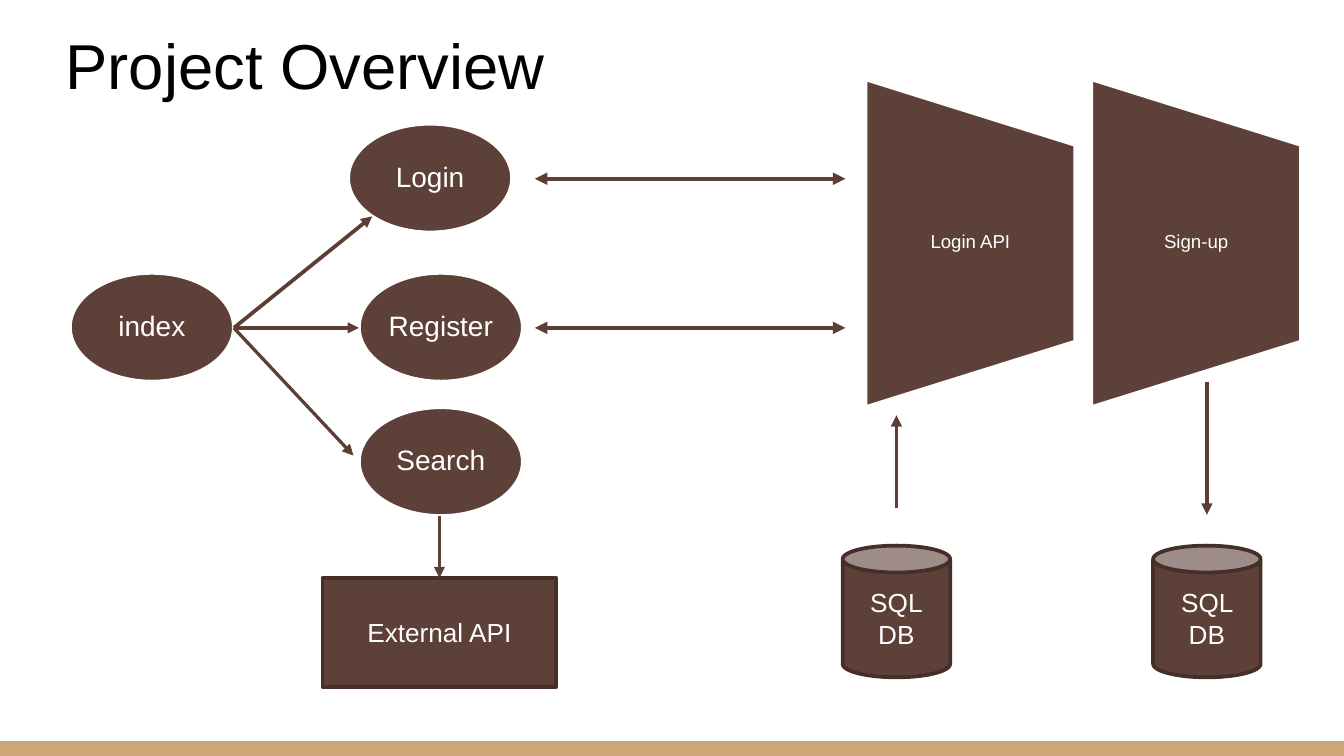
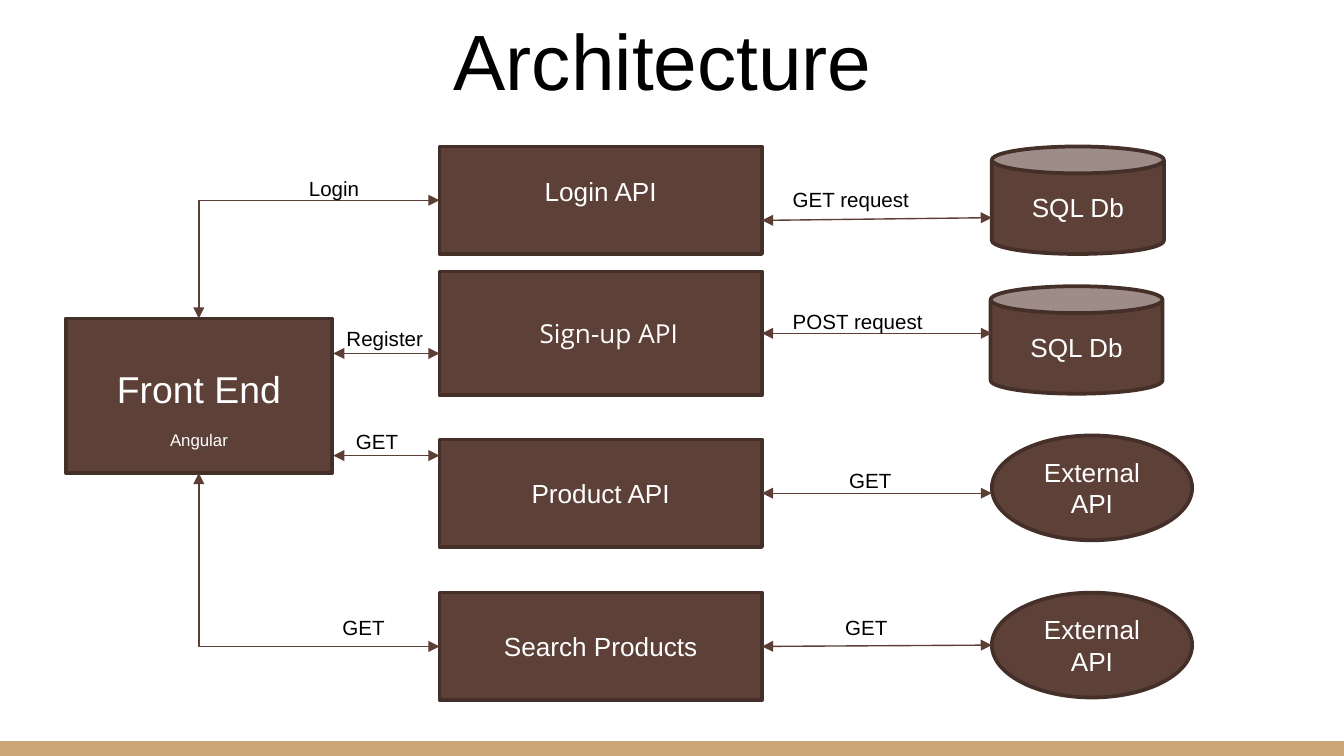
import pptx
import pptx.dml.color
import pptx.enum.shapes
import pptx.enum.text
import pptx.oxml.ns
import pptx.util
from lxml import etree

Inches = pptx.util.Inches
Pt = pptx.util.Pt
qn = pptx.oxml.ns.qn
SHAPE = pptx.enum.shapes.MSO_SHAPE
CONNECTOR = pptx.enum.shapes.MSO_CONNECTOR
ANCHOR = pptx.enum.text.MSO_ANCHOR
ALIGN = pptx.enum.text.PP_ALIGN

BROWN, EDGE, ARROW = "5D4037", "452F29", "5C3E35"
TAN, WHITE, BLACK = "CCA677", "FFFFFF", "000000"
PADDING = (0.1, 0.05, 0.1, 0.05)
WIDTH = 10
HEIGHT = WIDTH * 9 / 16
BAND = 0.11


def colour(value):
    return pptx.dml.color.RGBColor.from_string(value)


def write(frame, text, size, ink, font="Arial", align=ALIGN.CENTER,
          anchor=ANCHOR.MIDDLE, padding=PADDING, wrap=True, spacing=None):
    frame.text = text
    frame.word_wrap = wrap
    frame.vertical_anchor = anchor
    frame.margin_left, frame.margin_top, frame.margin_right, frame.margin_bottom = map(Inches, padding)
    for para in frame.paragraphs:
        para.alignment = align
        para.line_spacing = spacing
        for span in para.runs:
            span.font.size = Pt(size)
            span.font.name = font
            span.font.color.rgb = colour(ink)


def add_block(page, kind, box, text="", size=14, edge=EDGE, fill=BROWN, **style):
    shape = page.shapes.add_shape(kind, *map(Inches, box))
    shape.shadow.inherit = False
    shape.fill.solid()
    shape.fill.fore_color.rgb = colour(fill)
    if edge:
        shape.line.color.rgb = colour(edge)
        shape.line.width = Pt(2)
    else:
        shape.line.fill.background()
    if text:
        write(shape.text_frame, text, size, WHITE, **style)
    return shape


def add_text(page, box, text, size, ink=BLACK, **style):
    shape = page.shapes.add_textbox(*map(Inches, box))
    write(shape.text_frame, text, size, ink, **style)


def add_label(page, left, top, text):
    add_text(page, (left, top, 1.2, 0.29), text, 11, align=ALIGN.LEFT,
             anchor=ANCHOR.TOP, wrap=False)


def style_arrow(connector, width, both, ink=ARROW):
    connector.line.color.rgb = colour(ink)
    connector.line.width = Pt(width)
    outline = connector.line._get_or_add_ln()
    for end in ("a:headEnd", "a:tailEnd") if both else ("a:tailEnd",):
        etree.SubElement(outline, qn(end)).set("type", "triangle")
    etree.SubElement(connector._element.spPr, qn("a:effectLst"))


def add_arrow(page, start, finish, width=0.75, both=False, ink=ARROW):
    connector = page.shapes.add_connector(CONNECTOR.STRAIGHT, *map(Inches, start + finish))
    style_arrow(connector, width, both, ink)


def add_corner(page, first, first_site, second, second_site):
    connector = page.shapes.add_connector(CONNECTOR.ELBOW, 0, 0, 0, 0)
    connector.begin_connect(first, first_site)
    connector.end_connect(second, second_site)
    connector._element.spPr.find(qn("a:prstGeom")).set("prst", "bentConnector2")
    style_arrow(connector, 0.75, True)


def add_page(deck, title, box, size, align):
    page = deck.slides.add_slide(deck.slide_layouts[6])
    page.background.fill.solid()
    page.background.fill.fore_color.rgb = colour(WHITE)
    add_block(page, SHAPE.RECTANGLE, (0, HEIGHT - BAND, WIDTH, BAND), edge=None, fill=TAN)
    add_text(page, box, title, size, align=align, anchor=ANCHOR.BOTTOM)
    return page


def page_flow(page, left, top):
    wide, high = 1.22, 0.81

    def add_view(name, across, down):
        add_block(page, SHAPE.OVAL, (left + across, top + down, wide, high), name, 15,
                  edge=WHITE, padding=(0.01,) * 4, spacing=0.9)

    add_view("index", 0, 1.11)
    for name, across, down, tip, width in (
            ("Login", 2.07, 0, (2.25, 0.69), 2),
            ("Register", 2.15, 1.11, (2.15, 1.52), 1.75),
            ("Search", 2.15, 2.11, (2.11, 2.47), 1.75)):
        add_view(name, across, down)
        add_arrow(page, (left + wide, top + 1.52), (left + tip[0], top + tip[1]), width)
    add_block(page, SHAPE.RECTANGLE, (left + 1.88, top + 3.38, 1.74, high), "External API")
    add_arrow(page, (left + 2.75, top + 2.92), (left + 2.75, top + 3.38), 1.75, ink=BROWN)


def service_gates(page, left, top):
    long, deep = 2.44, 1.56
    for position, name in enumerate(("Login API", "Sign-up")):
        edge = left + position * 1.68
        gate = add_block(page, SHAPE.FLOWCHART_MANUAL_OPERATION,
                         (edge - (long - deep) / 2, top + (long - deep) / 2, long, deep),
                         edge=WHITE)
        gate.rotation = 270
        add_text(page, (edge, top + 0.48, deep, 1.47), name, 10, WHITE,
                 padding=(0.07, 0, 0.07, 0), spacing=0.9)
    for down in (0.74, 1.85):
        add_arrow(page, (left - 2.46, top + down), (left - 0.15, top + down), 2.25, both=True)


def databases(page, left, top):
    for across, text, start, finish in ((0, "SQL\nDB", -0.28, -0.97),
                                        (2.31, "SQL DB", -1.22, -0.23)):
        edge = left + across
        add_block(page, SHAPE.CAN, (edge, top, 0.8, 0.98), text)
        add_arrow(page, (edge + 0.4, top + start), (edge + 0.4, top + finish), 2)


def front_end(page, left, top):
    shape = add_block(page, SHAPE.RECTANGLE, (left, top, 1.98, 1.15),
                      "Front End\nAngular", 20, padding=(0.1, 0.23, 0.1, 0.05))
    caption = shape.text_frame.paragraphs[1]
    caption.space_before = Pt(10.5)
    caption.runs[0].font.size = Pt(9)
    return shape


def api_column(page, left, top):
    rows = (("Login API", 0, 0.8, {"padding": (0.1, 0.05, 0.1, 0.19)}),
            ("Sign-up API", 0.93, 0.92, {"font": "Open Sans", "padding": (0.22, 0.1, 0.1, 0.1)}),
            ("Product API", 2.18, 0.8, {}),
            ("Search Products", 3.32, 0.8, {}))
    return [add_block(page, SHAPE.RECTANGLE, (left, top + down, 2.4, high), name, **style)
            for name, down, high, style in rows]


def back_ends(page, left, top):
    can, oval = (SHAPE.CAN, 1.28, 0.8, "SQL Db"), (SHAPE.OVAL, 1.49, 0.78, "External API")
    for (kind, wide, high, text), across, down in (
            (can, 0, 0), (can, -0.01, 1.04), (oval, 0, 2.15), (oval, 0, 3.32)):
        add_block(page, kind, (left + across, top + down, wide, high), text)


def request_links(page, left, top):
    for text, across, down, start, finish in (
            ("GET request", 0.13, 0.25, 0.55, 0.53),
            ("POST request", 0.13, 1.16, 1.39, 1.39),
            ("GET", 0.55, 2.34, 2.58, 2.58),
            ("GET", 0.52, 3.44, 3.72, 3.71)):
        add_arrow(page, (left, top + start), (left + 1.71, top + finish), both=True)
        add_label(page, left + across, top + down, text)


def front_links(page, left, top, client, apis):
    add_corner(page, apis[0], 1, client, 0)
    add_corner(page, apis[-1], 1, client, 2)
    for down in (1.54, 2.3):
        add_arrow(page, (left, top + down), (left + 0.79, top + down), both=True)
    for text, across, down in (("Login", -0.28, 0.17), ("Register", 0, 1.29),
                               ("GET", 0.07, 2.05), ("GET", -0.03, 3.44)):
        add_label(page, left + across, top + down, text)


def overview(deck):
    page = add_page(deck, "Project Overview", (0.39, 0.14, 9.6, 0.67), 34, ALIGN.LEFT)
    page_flow(page, 0.52, 0.92)
    service_gates(page, 6.44, 0.59)
    databases(page, 6.27, 4.06)


def architecture(deck):
    page = add_page(deck, "Architecture", (0.27, 0, 9.32, 0.84), 42, ALIGN.CENTER)
    top = 1.09
    client = front_end(page, 0.49, 2.37)
    apis = api_column(page, 3.27, top)
    back_ends(page, 7.38, top)
    request_links(page, 5.67, top)
    front_links(page, 2.48, top, client, apis)


def main():
    deck = pptx.Presentation()
    deck.slide_width, deck.slide_height = Inches(WIDTH), Inches(HEIGHT)
    overview(deck)
    architecture(deck)
    deck.save("out.pptx")


if __name__ == "__main__":
    main()
